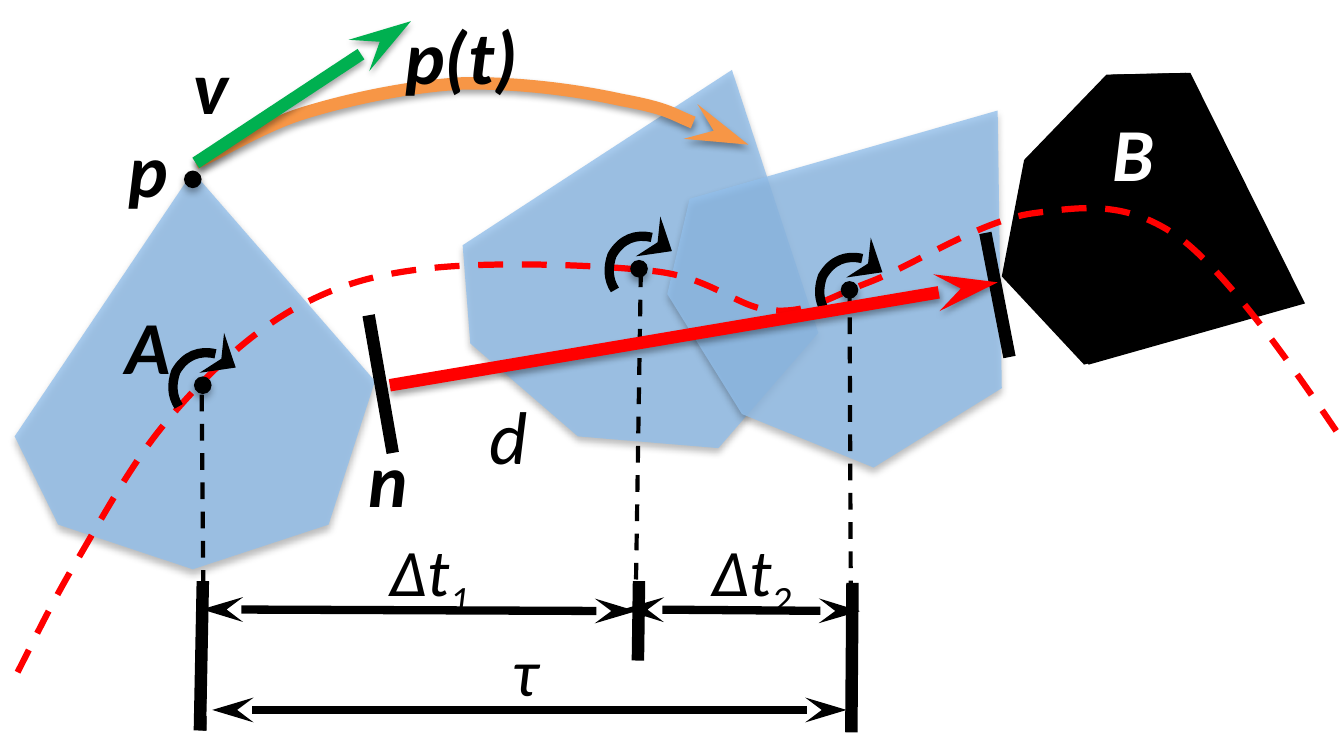
from lxml.etree import SubElement
from pptx import Presentation
from pptx.dml.color import RGBColor
from pptx.enum.dml import MSO_LINE
from pptx.enum.shapes import MSO_CONNECTOR, MSO_SHAPE
from pptx.oxml.ns import qn
from pptx.util import Cm, Pt

rgb = RGBColor.from_string
BLACK, RED, BLUE = "000000", "FF0000", "92BFEB"
SOFT = (32, 3.5, 2.2, 90)
ARROW_SHADOW = (35, 3.1, 1.8, 90)
LONG, WIDE = ("med", "lg"), ("lg", "med")


def style(sp, color, width=None, dash=False, head=None, tail=None, shadow=None):
    spPr = sp._element.spPr
    if width is None:
        sp.fill.solid()
        sp.fill.fore_color.rgb = rgb(color)
        sp.line.fill.background()
    else:
        sp.line.color.rgb = rgb(color)
        sp.line.width = Pt(width)
        if dash:
            sp.line.dash_style = MSO_LINE.DASH
        ln = spPr.find(qn("a:ln"))
        for tag, size in (("a:headEnd", head), ("a:tailEnd", tail)):
            if size:
                SubElement(ln, qn(tag), type="stealth", w=size[0], len=size[1])
    effects = SubElement(spPr, qn("a:effectLst"))
    if shadow:
        alpha, blur, dist, angle = shadow
        outer = SubElement(effects, qn("a:outerShdw"), blurRad=str(Pt(blur)),
                           dist=str(Pt(dist)), dir=str(angle * 60000), rotWithShape="0")
        clr = SubElement(outer, qn("a:srgbClr"), val=BLACK)
        SubElement(clr, qn("a:alpha"), val=str(alpha * 1000))


def outline(points, curved=False):
    pts = [(round(x * 100), round(y * 100)) for x, y in points]
    builder = s.shapes.build_freeform(*pts[0], scale=Cm(0.01))
    builder.add_line_segments(pts[1:], close=not curved)
    sp = builder.convert_to_shape()
    if curved:
        sp.fill.background()
        path = next(sp._element.iter(qn("a:path")))
        steps = path.findall(qn("a:lnTo"))
        for i in range(0, len(steps), 3):
            bezier = SubElement(path, qn("a:cubicBezTo"))
            for step in steps[i:i + 3]:
                bezier.append(step[0])
                path.remove(step)
    return sp


prs = Presentation()
prs.slide_width, prs.slide_height = Cm(22.86), Cm(12.7)
s = prs.slides.add_slide(prs.slide_layouts[6])

obstacle = [(22.12, 5.16), (20.17, 1.24), (18.82, 1.27), (17.42, 2.72), (17.04, 4.7), (18.44, 6.2)]
style(outline(obstacle), BLACK, shadow=(100, 0, 2.2, 0))

poses = [
    [(3.28, 2.92), (0.25, 7.42), (0.99, 8.92), (3.28, 9.68), (5.59, 8.92), (6.38, 6.48)],
    [(12.45, 1.19), (7.87, 4.17), (8, 5.84), (9.83, 7.42), (12.22, 7.62), (13.92, 5.66)],
    [(16.97, 1.88), (11.73, 3.38), (11.35, 5), (12.62, 7.04), (14.86, 7.95), (17.04, 6.6)],
]
for pose in poses:
    sp = outline(pose)
    style(sp, BLUE, shadow=SOFT)
    clr = sp._element.spPr.find(qn("a:solidFill"))[0]
    SubElement(clr, qn("a:alpha"), val="79000")

trajectory = [
    (0.3, 11.43), (0.56, 10.92), (0.81, 10.39), (1.22, 9.68),
    (1.65, 8.97), (2.21, 7.9), (2.84, 7.16), (3.45, 6.43), (4.19, 5.72), (4.95, 5.28),
    (5.72, 4.85), (6.38, 4.65), (7.42, 4.55), (8.46, 4.45), (10.24, 4.5), (11.2, 4.62),
    (12.17, 4.75), (12.57, 5.26), (13.18, 5.28), (13.77, 5.31), (14.05, 5.08), (14.78, 4.8),
    (15.52, 4.52), (16.66, 3.76), (17.55, 3.63), (18.44, 3.51), (19.18, 3.4), (20.09, 4.06),
    (20.98, 4.75), (22.12, 6.43), (22.86, 7.52),
]
style(outline(trajectory, curved=True), RED, 3, dash=True)

point_path = [
    (3.33, 2.77), (3.71, 2.62), (4.47, 2.13), (5.21, 1.91),
    (5.97, 1.68), (6.96, 1.47), (7.85, 1.42), (8.74, 1.4), (9.75, 1.52), (10.57, 1.7),
    (11.38, 1.85), (12.27, 2.31), (12.73, 2.46),
]
style(outline(point_path, curved=True), "F79646", 6, tail=LONG, shadow=ARROW_SHADOW)

centers = [(3.45, 6.55), (10.87, 4.57), (14.45, 4.93)]
spin = [(0.56, -0.3), (0.51, -0.38), (0.43, -0.43), (0.36, -0.48), (0.05, -0.64),
        (-0.3, -0.51), (-0.46, -0.23), (-0.53, -0.03), (-0.53, 0.18), (-0.41, 0.36)]
for cx, cy in centers:
    arc = outline([(cx + dx, cy + dy) for dx, dy in spin], curved=True)
    style(arc, BLACK, 4.5, head=WIDE)
for cx, cy in [(3.28, 3.05)] + centers:
    dot = s.shapes.add_shape(MSO_SHAPE.OVAL, Cm(cx - 0.15), Cm(cy - 0.15), Cm(0.3), Cm(0.3))
    style(dot, BLACK, shadow=SOFT)

bar = dict(color=BLACK, width=6)
guide = dict(color=BLACK, width=2, dash=True)
span = dict(color=BLACK, width=4, head=LONG, tail=LONG)
vector = dict(width=6, tail=LONG, shadow=ARROW_SHADOW)
lines = [
    (6.68, 7.7, 6.27, 5.36, bar),
    (17.17, 6.07, 16.76, 3.96, bar),
    (3.4, 12.42, 3.45, 9.88, bar),
    (10.85, 11.23, 10.87, 9.88, bar),
    (14.48, 12.45, 14.5, 9.91, bar),
    (3.43, 6.71, 3.48, 12.42, guide),
    (10.9, 4.6, 10.8, 11, guide),
    (14.45, 4.9, 14.48, 12.42, guide),
    (3.43, 10.36, 10.82, 10.39, span),
    (10.59, 10.36, 14.63, 10.39, span),
    (3.61, 12.07, 14.4, 12.07, span),
    (6.63, 6.55, 16.97, 4.8, dict(vector, color=RED)),
    (3.33, 2.77, 6.99, 0.36, dict(vector, color="00B050")),
]
for x1, y1, x2, y2, look in lines:
    style(s.shapes.add_connector(MSO_CONNECTOR.STRAIGHT, Cm(x1), Cm(y1), Cm(x2), Cm(y2)), **look)

labels = [
    ("p", "", 1.93, 1.96, 1.3, 36, True, BLACK),
    ("n", "", 6.02, 7.24, 1.83, 36, True, BLACK),
    ("d", "", 8.08, 6.5, 1.73, 36, False, BLACK),
    ("v", "", 3.05, 0.56, 1.3, 36, True, BLACK),
    ("Δt", "1", 6.38, 8.89, 2.13, 32, False, BLACK),
    ("Δt", "2", 11.86, 8.89, 2.13, 32, False, BLACK),
    ("p(t)", "", 6.65, 0.05, 2.7, 36, True, BLACK),
    ("τ", "", 8.46, 10.59, 1.1, 32, False, BLACK),
    ("A", "", 1.88, 4.98, 1.4, 36, True, BLACK),
    ("B", "", 18.67, 1.7, 1.3, 36, True, "FFFFFF"),
]
for text, sub, x, y, w, size, bold, color in labels:
    tf = s.shapes.add_textbox(Cm(x), Cm(y), Cm(w), Cm(size / 20)).text_frame
    tf.word_wrap = True
    p = tf.paragraphs[0]
    for part in filter(None, (text, sub)):
        r = p.add_run()
        r.text = part
        r.font.name, r.font.size = "Calibri", Pt(size)
        r.font.bold, r.font.italic = bold, True
        r.font.color.rgb = rgb(color)
        if part == sub:
            r._r.get_or_add_rPr().set("baseline", "-25000")

prs.save("out.pptx")
